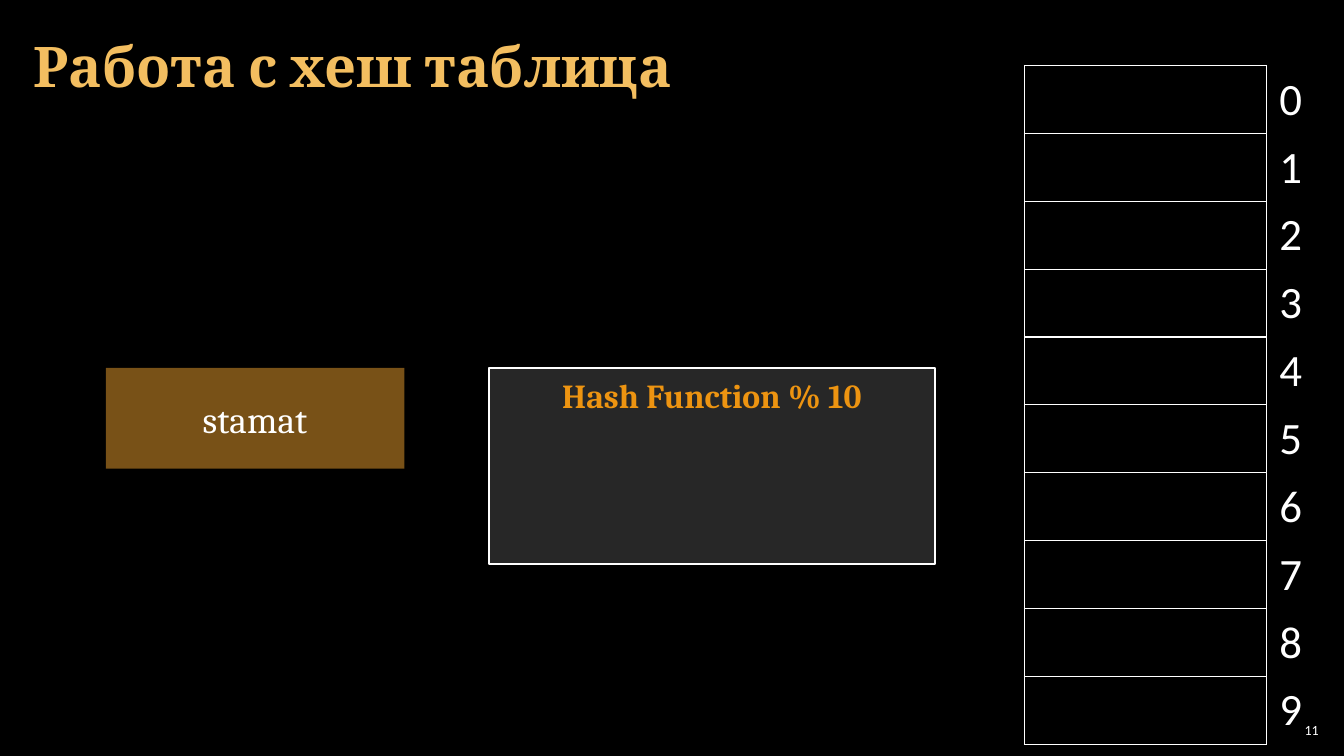
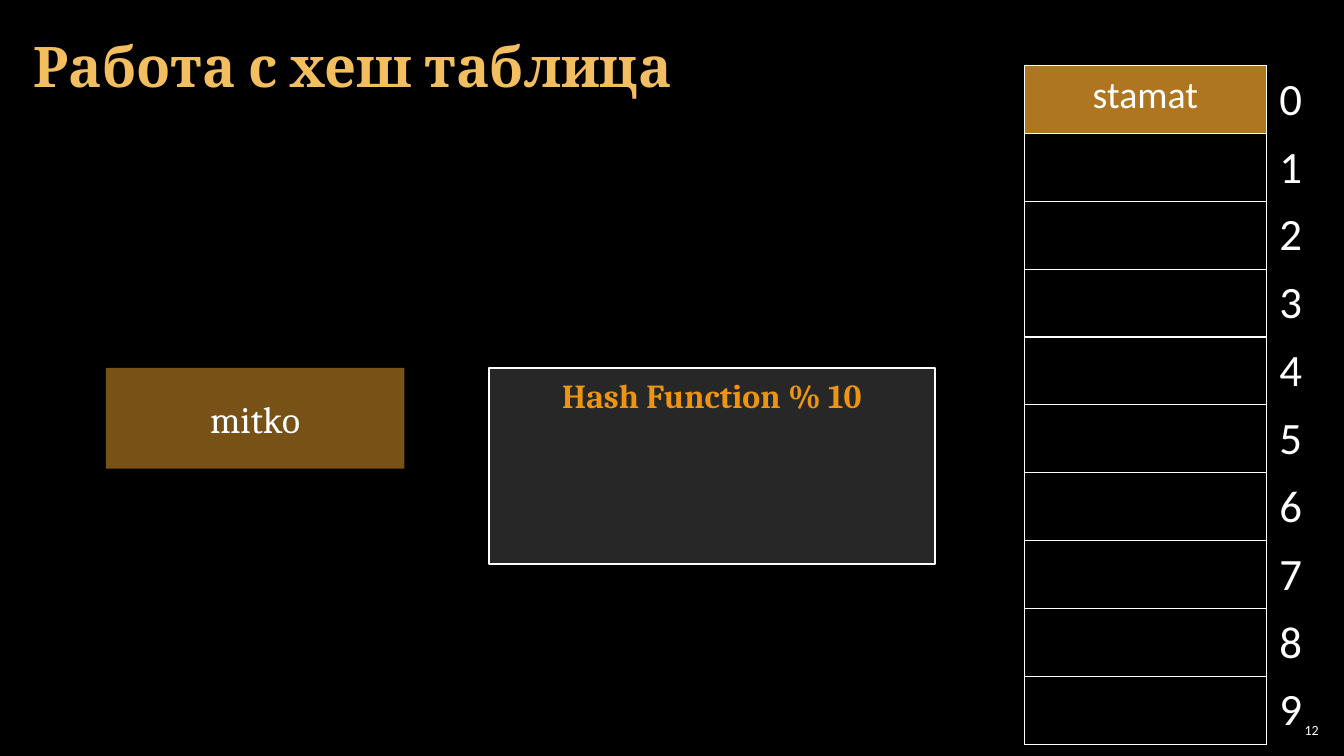
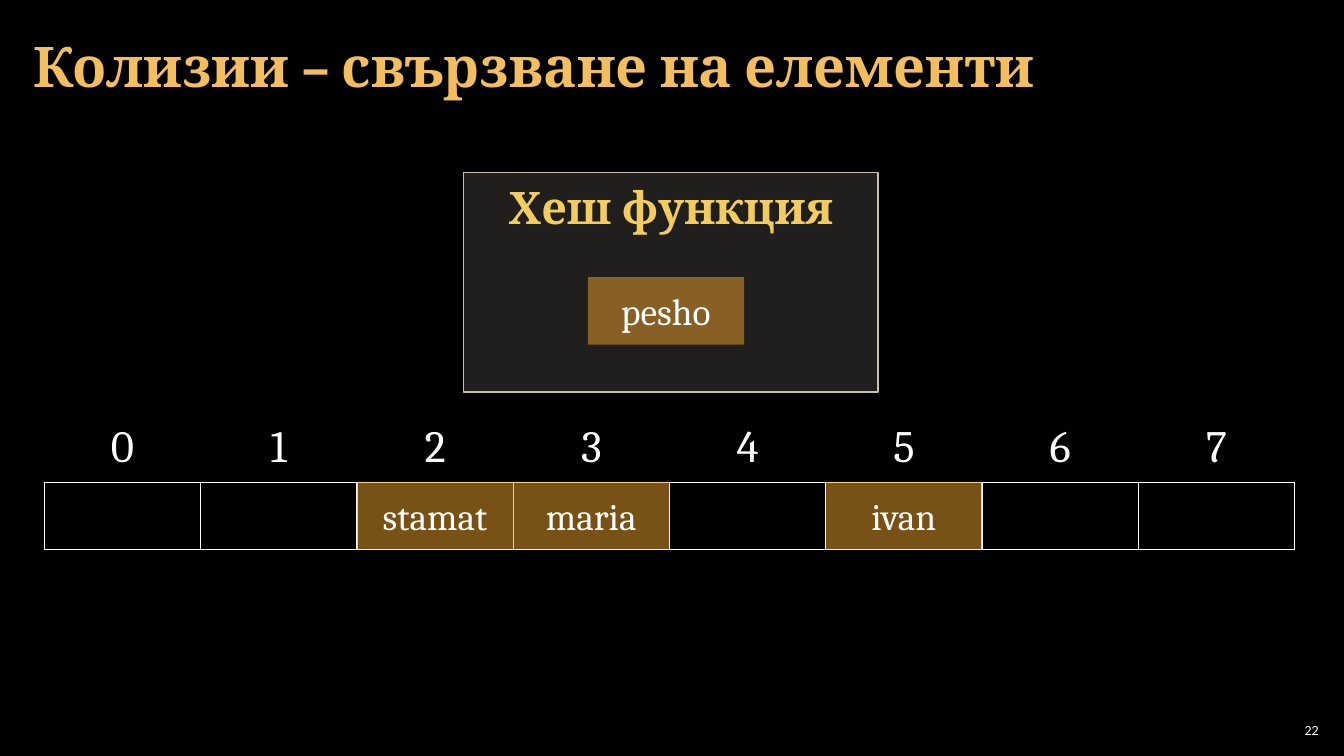
import lxml.etree
import pptx
import pptx.dml.color
import pptx.enum.shapes
import pptx.enum.text
import pptx.oxml.ns
import pptx.util

Inches = pptx.util.Inches
Pt = pptx.util.Pt
qn = pptx.oxml.ns.qn
ALIGN = pptx.enum.text.PP_ALIGN
ANCHOR = pptx.enum.text.MSO_ANCHOR
SHAPE = pptx.enum.shapes.MSO_SHAPE

COLORS = {
    "background": "000000",
    "text": "FFFFFF",
    "title": "F3BE60",
    "entry": "F0A22E",
    "stored": "AF7621",
    "function": "272727",
    "function_text": "ED9411",
    "chaining": "D9D4C6",
    "chaining_line": "C6BEAB",
    "chaining_text": "F3CC5F",
}
PLAIN_TABLE = "{2D5ABB26-0587-4C30-8999-92F81FD0307C}"


def rgb(name):
    return pptx.dml.color.RGBColor.from_string(COLORS[name])


def write_text(frame, text, size, font="Cambria", color="text", bold=False,
               align=ALIGN.CENTER, anchor=ANCHOR.MIDDLE, inset=(0.13, 0.07)):
    frame.word_wrap = True
    frame.vertical_anchor = anchor
    frame.margin_left = frame.margin_right = Inches(inset[0])
    frame.margin_top = frame.margin_bottom = Inches(inset[1])
    para = frame.paragraphs[0]
    para.alignment = align
    span = para.add_run()
    span.text = text
    span.font.name = font
    span.font.size = Pt(size)
    span.font.bold = bold
    span.font.color.rgb = rgb(color)


deck = pptx.Presentation()
deck.slide_width = Inches(13.33)
deck.slide_height = Inches(7.5)
master_fill = deck.slide_master.background.fill
master_fill.solid()
master_fill.fore_color.rgb = rgb("background")
layout = deck.slide_layouts[5]
layout_title = layout.placeholders[0]
layout_title.left, layout_title.top = Inches(0.21), Inches(0.04)
layout_title.width, layout_title.height = Inches(12.91), Inches(1.21)

pages = []
for title, number in [
    ("Работа с хеш таблица", "11"),
    ("Работа с хеш таблица", "12"),
    ("Колизии – свързване на елементи", "22"),
]:
    page = deck.slides.add_slide(layout)
    write_text(page.shapes.title.text_frame, title, 40, color="title", bold=True,
               align=ALIGN.LEFT, inset=(0.12, 0.04))
    number_box = page.shapes.add_textbox(Inches(12.65), Inches(7.14), Inches(0.47), Inches(0.21))
    write_text(number_box.text_frame, number, 10, font="Calibri",
               align=ALIGN.RIGHT, inset=(0.04, 0.04))
    pages.append(page)
first_page, second_page, chaining_page = pages

SLOT_WIDTH, SLOT_HEIGHT = 1.55, 0.67
CHAIN_LEFT, CHAIN_TOP = 0.44, 4.11

for page, left, top, widths, row_count, stored in [
    (first_page, 10.16, 0.65, [2.4, 0.56], 10, {}),
    (second_page, 10.16, 0.65, [2.4, 0.56], 10, {0: "stamat"}),
    (chaining_page, CHAIN_LEFT, CHAIN_TOP, [SLOT_WIDTH] * 8, 2, {}),
]:
    vertical = row_count > 2
    frame = page.shapes.add_table(row_count, len(widths), Inches(left), Inches(top),
                                  Inches(sum(widths)), Inches(SLOT_HEIGHT * row_count))
    table = frame.table
    table.first_row = table.horz_banding = False
    table._tbl.tblPr.find(qn("a:tableStyleId")).text = PLAIN_TABLE
    for column, width in zip(table.columns, widths):
        column.width = Inches(width)
    for row_number, row in enumerate(table.rows):
        row.height = Inches(SLOT_HEIGHT)
        for column_number, cell in enumerate(row.cells):
            is_index = column_number == 1 if vertical else row_number == 0
            slot = row_number if vertical else column_number
            sides = ("L" if vertical else "B") if is_index else "LRTB"
            properties = cell._tc.get_or_add_tcPr()
            for side in sides:
                border = lxml.etree.SubElement(properties, qn("a:ln" + side), w=str(Pt(1)))
                border_fill = lxml.etree.SubElement(border, qn("a:solidFill"))
                lxml.etree.SubElement(border_fill, qn("a:srgbClr"), val=COLORS["text"])
            cell.fill.background()
            cell.margin_left = cell.margin_right = Inches(0.13)
            cell.margin_top = cell.margin_bottom = Inches(0.07)
            if is_index:
                write_text(cell.text_frame, str(slot), 32,
                           font="Calibri" if vertical else "Cambria",
                           align=ALIGN.LEFT if vertical else ALIGN.CENTER)
                cell.vertical_anchor = ANCHOR.TOP if vertical else ANCHOR.MIDDLE
            elif slot in stored:
                cell.fill.solid()
                cell.fill.fore_color.rgb = rgb("stored")
                write_text(cell.text_frame, stored[slot], 27, font="Calibri")
                cell.vertical_anchor = ANCHOR.TOP

function_style = dict(fill="function", opacity=100, line="text", line_width=1.5,
                      text=dict(size=24, color="function_text", bold=True, anchor=ANCHOR.TOP))
chaining_style = dict(fill="chaining", opacity=15, line="chaining_line", line_width=1,
                      text=dict(size=32, color="chaining_text", bold=True, anchor=ANCHOR.TOP))
entry_style = dict(fill="entry", opacity=50, line=None, text=dict(size=26.7))

boxes = [
    (chaining_page, "Хеш функция", (4.6, 1.71, 4.11, 2.18), chaining_style),
    (chaining_page, "pesho", (5.83, 2.75, SLOT_WIDTH, SLOT_HEIGHT), entry_style),
]
for page, key in [(first_page, "stamat"), (second_page, "mitko")]:
    boxes.append((page, key, (1.05, 3.65, 2.96, 1), entry_style))
    boxes.append((page, "Hash Function % 10", (4.85, 3.65, 4.42, 1.95), function_style))
for slot, key in [(2, "stamat"), (3, "maria"), (5, "ivan")]:
    place = (CHAIN_LEFT + slot * SLOT_WIDTH, CHAIN_TOP + SLOT_HEIGHT, SLOT_WIDTH, SLOT_HEIGHT)
    boxes.append((chaining_page, key, place, entry_style))

for page, label, place, style in boxes:
    preset = SHAPE.FLOWCHART_PROCESS if style is entry_style else SHAPE.RECTANGLE
    box = page.shapes.add_shape(preset, *map(Inches, place))
    box.shadow.inherit = False
    box.fill.solid()
    box.fill.fore_color.rgb = rgb(style["fill"])
    if style["opacity"] < 100:
        color = box._element.spPr.find(qn("a:solidFill"))[0]
        lxml.etree.SubElement(color, qn("a:alpha"), val=str(style["opacity"] * 1000))
    if style["line"]:
        box.line.color.rgb = rgb(style["line"])
        box.line.width = Pt(style["line_width"])
    else:
        box.line.fill.background()
    write_text(box.text_frame, label, **style["text"])

deck.save("out.pptx")
